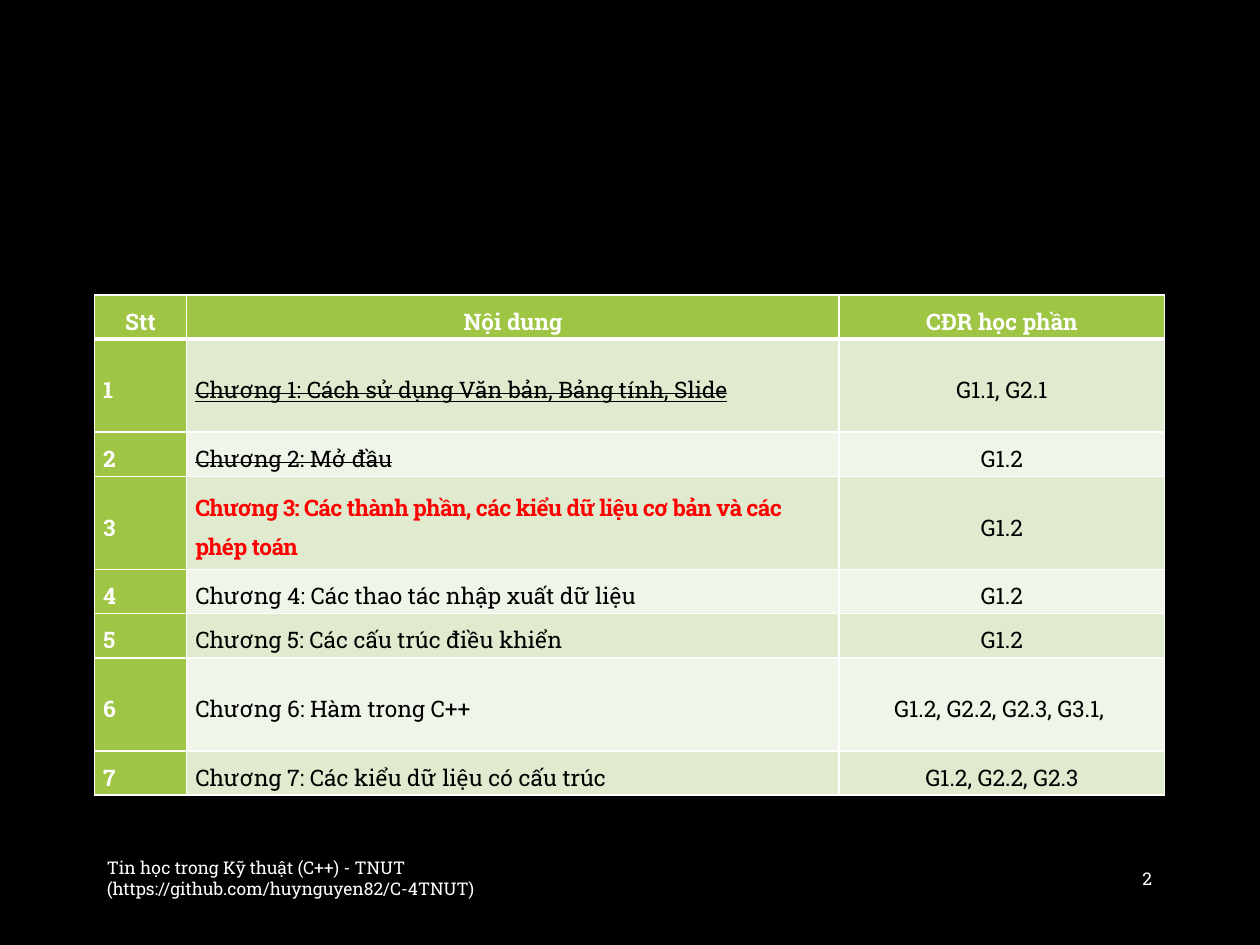
from dataclasses import dataclass

from lxml.etree import SubElement
from pptx import Presentation
from pptx.dml.color import RGBColor
from pptx.enum.text import MSO_ANCHOR, PP_ALIGN
from pptx.oxml.ns import qn
from pptx.util import Pt


@dataclass(frozen=True)
class Theme:
    font: str = "Roboto Slab"
    table_size: float = 13
    footer_size: float = 10
    background: str = "000000"
    light: str = "FFFFFF"
    dark: str = "000000"
    current: str = "FF0000"
    accent: str = "9EC544"
    bands: tuple = ("DFEACF", "F0F5E9")


THEME = Theme()

LEFT, TABLE_TOP, FOOTER_TOP = 54, 168.5, 487.5
COLUMN_WIDTHS = (52.6, 373, 185.8)
LOW_ROW, TALL_ROW = 25.2, 53.3
TALL_CHAPTERS = (1, 3, 6)
CURRENT_CHAPTER = 3

HEADINGS = ("Stt", "Nội dung", "CĐR học phần")
CHAPTERS = (
    ("Cách sử dụng Văn bản, Bảng tính, Slide", "G1.1, G2.1"),
    ("Mở đầu", "G1.2"),
    ("Các thành phần, các kiểu dữ liệu cơ bản và các phép toán", "G1.2"),
    ("Các thao tác nhập xuất dữ liệu", "G1.2"),
    ("Các cấu trúc điều khiển", "G1.2"),
    ("Hàm trong C++", "G1.2, G2.2, G2.3, G3.1, "),
    ("Các kiểu dữ liệu có cấu trúc", "G1.2, G2.2, G2.3"),
)
FOOTER = "Tin học trong Kỹ thuật (C++) - TNUT (https://github.com/huynguyen82/C-4TNUT)"


def color(value):
    return RGBColor.from_string(value)


def style_text(para, size, text_color, bold=False, align=PP_ALIGN.LEFT):
    para.alignment = align
    for span in para.runs:
        span.font.name = THEME.font
        span.font.size = Pt(size)
        span.font.bold = bold
        span.font.color.rgb = color(text_color)


def set_borders(cell, top=1, bottom=1):
    properties = cell._tc.get_or_add_tcPr()
    widths = {"a:lnL": 1, "a:lnR": 1, "a:lnT": top, "a:lnB": bottom}
    for position, (tag, width) in enumerate(widths.items()):
        line = SubElement(properties, qn(tag), w=str(Pt(width)))
        fill = SubElement(line, qn("a:solidFill"))
        SubElement(fill, qn("a:srgbClr"), val=THEME.light)
        properties.insert(position, line)  # lines come before the fill


def fill_cell(cell, text, fill, text_color, bold, align):
    cell.fill.solid()
    cell.fill.fore_color.rgb = color(fill)
    cell.vertical_anchor = MSO_ANCHOR.MIDDLE
    cell.margin_left = cell.margin_right = Pt(5)
    cell.margin_top = cell.margin_bottom = 0
    cell.text_frame.text = text
    para = cell.text_frame.paragraphs[0]
    para.line_spacing = 1.3
    para.space_before = para.space_after = Pt(1)
    style_text(para, THEME.table_size, text_color, bold, align)
    return para.runs[0]


def mark_chapter(span, number):
    """Strike the finished chapters and tighten the current one."""
    properties = span.font._element
    if number < CURRENT_CHAPTER:
        properties.set("strike", "sngStrike")
        span.font.underline = number == 1
    elif number == CURRENT_CHAPTER:
        properties.set("spc", "-30")


def add_chapter_table(page):
    heights = [LOW_ROW] + [
        TALL_ROW if number in TALL_CHAPTERS else LOW_ROW
        for number in range(1, len(CHAPTERS) + 1)
    ]
    table = page.shapes.add_table(
        len(heights), len(HEADINGS), Pt(LEFT), Pt(TABLE_TOP),
        Pt(sum(COLUMN_WIDTHS)), Pt(sum(heights))).table
    table.first_col = True
    for column, width in zip(table.columns, COLUMN_WIDTHS):
        column.width = Pt(width)
    for row, height in zip(table.rows, heights):
        row.height = Pt(height)

    # Heading row
    for column, heading in enumerate(HEADINGS):
        cell = table.cell(0, column)
        fill_cell(cell, heading, THEME.accent, THEME.light, True, PP_ALIGN.CENTER)
        set_borders(cell, bottom=3)

    # One row for each chapter
    for number, (title, outcomes) in enumerate(CHAPTERS, start=1):
        cells = table.rows[number].cells
        band = THEME.bands[(number - 1) % 2]
        current = number == CURRENT_CHAPTER
        title_color = THEME.current if current else THEME.dark
        fill_cell(cells[0], str(number), THEME.accent, THEME.light, True, PP_ALIGN.LEFT)
        span = fill_cell(cells[1], f"Chương {number}: {title}", band,
                         title_color, current, PP_ALIGN.LEFT)
        mark_chapter(span, number)
        fill_cell(cells[2], outcomes, band, THEME.dark, False, PP_ALIGN.CENTER)
        for cell in cells:
            set_borders(cell, top=3 if number == 1 else 1)


def add_footer_text(page, text, left, width, align):
    box = page.shapes.add_textbox(Pt(left), Pt(FOOTER_TOP), Pt(width), Pt(28.8))
    frame = box.text_frame
    frame.word_wrap = True
    frame.vertical_anchor = MSO_ANCHOR.MIDDLE
    frame.text = text
    style_text(frame.paragraphs[0], THEME.footer_size, THEME.light, align=align)


def main():
    deck = Presentation()
    deck.slide_width, deck.slide_height = Pt(720), Pt(540)
    page = deck.slides.add_slide(deck.slide_layouts[6])
    page.background.fill.solid()
    page.background.fill.fore_color.rgb = color(THEME.background)

    add_chapter_table(page)

    # Footer and page number
    add_footer_text(page, FOOTER, LEFT, 394, PP_ALIGN.LEFT)
    add_footer_text(page, "2", 620.6, 44.8, PP_ALIGN.RIGHT)

    deck.save("out.pptx")


if __name__ == "__main__":
    main()
